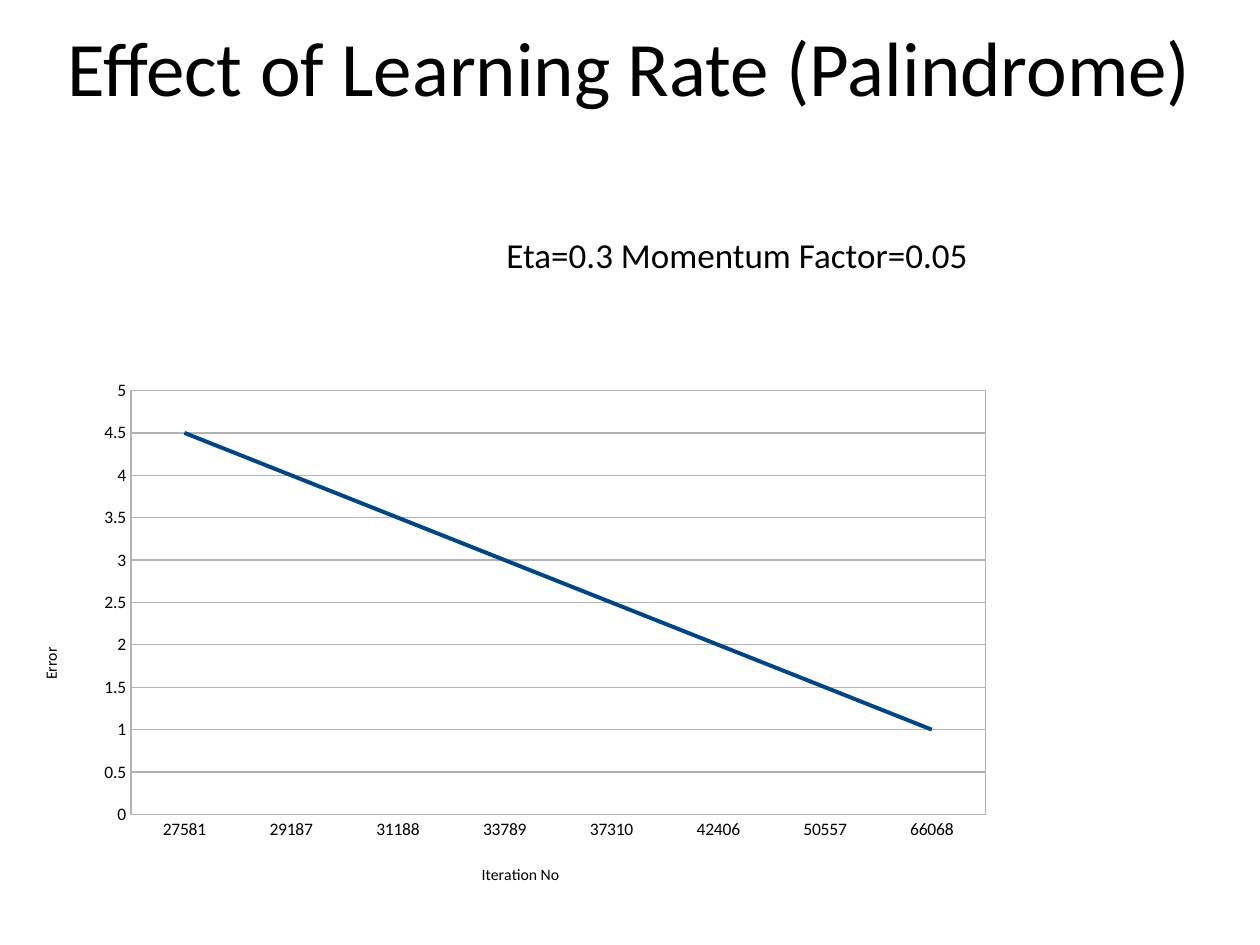
from lxml import etree
from pptx import Presentation
from pptx import util as u
from pptx.chart import data as cd
from pptx.dml.color import RGBColor
from pptx.enum import chart as ce, text as te
from pptx.oxml import parse_xml
from pptx.oxml.ns import nsdecls, qn

WIDE, HIGH = 10, 7.5
HUES = {"ink": "000000", "grid": "B3B3B3", "line": "004586", "page": "FFFFFF"}
FACE = "Calibri"
STEPS = ["27581", "29187", "31188", "33789", "37310", "42406", "50557", "66068"]
ERRS = [4.5 - 0.5 * i for i in range(len(STEPS))]


def hue(name):
    """Return the named colour."""
    return RGBColor.from_string(HUES[name])


def style(font, size, ink="ink"):
    """Set face, size and colour of a font."""
    font.name, font.size, font.bold = FACE, u.Pt(size), False
    font.color.rgb = hue(ink)


def span(box):
    """Turn shares of the slide into lengths."""
    return [u.Inches(s * f) for s, f in zip(box, (WIDE, HIGH) * 2)]


def write(frame, words, size=10, align=te.PP_ALIGN.CENTER, anchor=None, wrap=True):
    """Put formatted words into a text frame."""
    frame.word_wrap = wrap
    if anchor is not None:
        frame.vertical_anchor = anchor
    para = frame.paragraphs[0]
    para.alignment = align
    run = para.add_run()
    run.text = words
    style(run.font, size)


def label(slide, box, words, **form):
    """Add a text box in the given box."""
    write(slide.shapes.add_textbox(*span(box)).text_frame, words, **form)


def stroke(line, name, width):
    """Colour a line and set its width."""
    line.color.rgb = hue(name)
    line.width = u.Pt(width)


def place(node, spot, index, inner=False):
    """Fix a chart part at shares of the chart's size."""
    old = node.find(qn("c:layout"))
    if old is not None:
        node.remove(old)
    lay = etree.Element(qn("c:layout"))
    man = etree.SubElement(lay, qn("c:manualLayout"))
    rules = [("layoutTarget", "inner")] if inner else []
    rules += [("xMode", "edge"), ("yMode", "edge"), *zip("xywh", spot)]
    for tag, val in rules:
        etree.SubElement(man, qn("c:" + tag)).set("val", str(val))
    node.insert(index, lay)


def dress(axis, words, spot):
    """Style one axis and set its title."""
    axis.major_tick_mark = axis.minor_tick_mark = ce.XL_TICK_MARK.NONE
    stroke(axis.format.line, "grid", 0.75)
    style(axis.tick_labels.font, 10)
    title = axis.axis_title
    write(title.text_frame, words, size=9)
    place(title._element, spot, 1)


def plot(slide, box):
    """Draw the error line chart in the given box."""
    data = cd.CategoryChartData()
    data.categories = STEPS
    data.add_series("Series 1", ERRS)
    kind = ce.XL_CHART_TYPE.LINE
    chart = slide.shapes.add_chart(kind, *span(box), data).chart
    chart.has_legend = chart.has_title = False
    style(chart.font, 10)
    dress(chart.category_axis, "Iteration No", (0.38, 0.9))
    axis = chart.value_axis
    dress(axis, "Error", (0.03, 0.61))
    axis.minimum_scale, axis.maximum_scale, axis.major_unit = 0, 5, 0.5
    axis.tick_labels.number_format = "General"
    axis.tick_labels.number_format_is_linked = False
    axis.has_major_gridlines = True
    stroke(axis.major_gridlines.format.line, "grid", 0.75)
    chart.plots[0].vary_by_categories = False
    row = chart.plots[0].series[0]
    row.smooth = False
    row.marker.style = ce.XL_MARKER_STYLE.NONE
    stroke(row.format.line, "line", 2.27)
    area = chart._chartSpace.chart.plotArea
    place(area, (0.104, 0.27, 0.678, 0.568), 0, inner=True)
    area.append(parse_xml(
        f'<c:spPr {nsdecls("c", "a")}><a:noFill/><a:ln w="9525"><a:solidFill>'
        f'<a:srgbClr val="{HUES["grid"]}"/></a:solidFill></a:ln></c:spPr>'))


def main():
    """Build and save the slide."""
    deck = Presentation()
    deck.slide_width, deck.slide_height = u.Inches(WIDE), u.Inches(HIGH)
    slide = deck.slides.add_slide(deck.slide_layouts[6])
    slide.background.fill.solid()
    slide.background.fill.fore_color.rgb = hue("page")
    label(slide, (0, 0, 1, 0.14), "Effect of Learning Rate (Palindrome)",
          size=44, anchor=te.MSO_ANCHOR.MIDDLE)
    label(slide, (0.39, 0.24, 0.39, 0.06), "Eta=0.3 Momentum Factor=0.05",
          size=20, wrap=False)
    plot(slide, (0, 0.2, 1, 0.79))
    deck.save("out.pptx")


if __name__ == "__main__":
    main()
